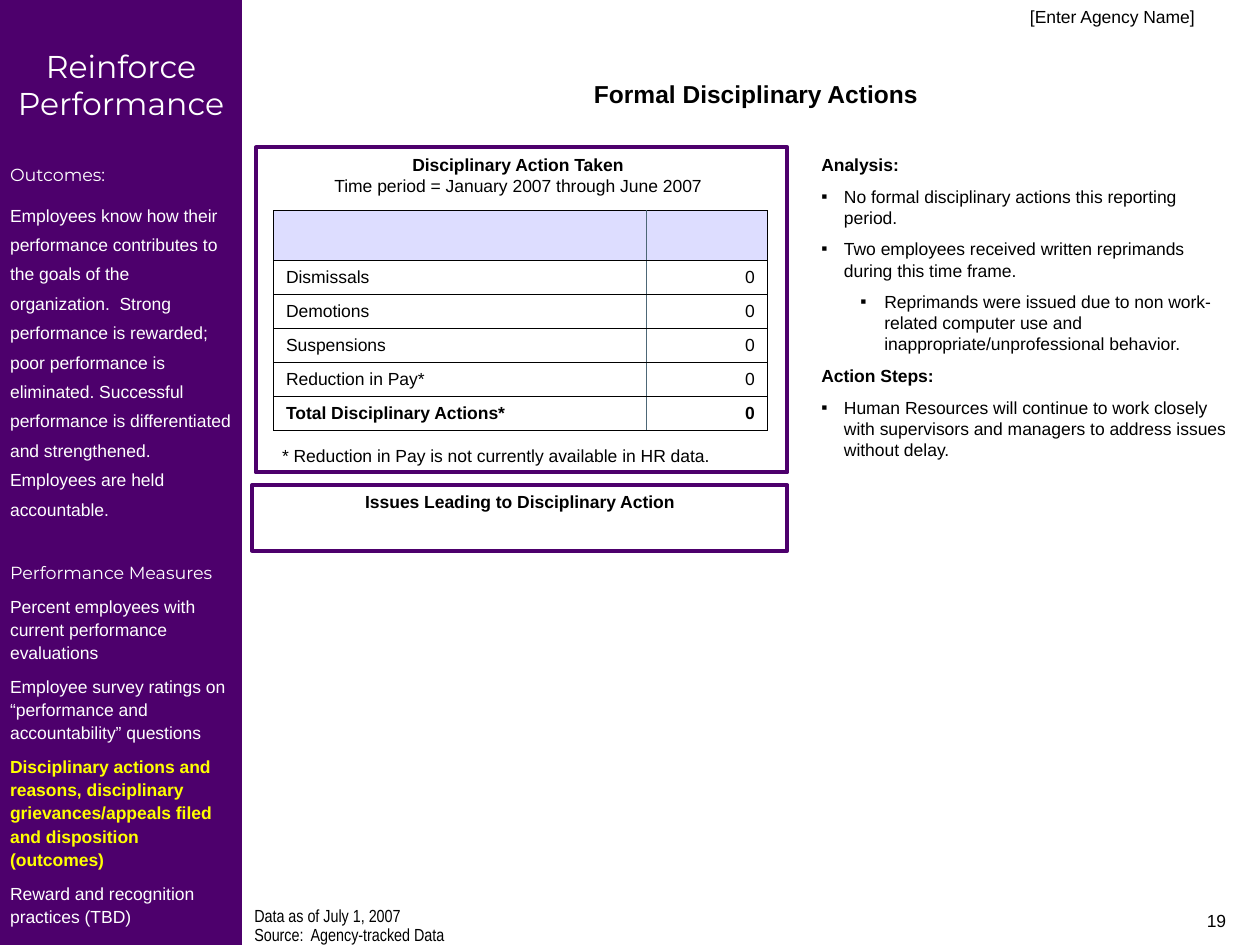
from dataclasses import dataclass
from lxml.etree import SubElement as Sub
from pptx import Presentation
from pptx.dml.color import RGBColor as RGB
from pptx.enum.shapes import MSO_SHAPE as Shape
from pptx.enum.text import MSO_ANCHOR as Anchor, PP_ALIGN as Align
from pptx.oxml.ns import qn
from pptx.util import Inches, Pt


@dataclass(frozen=True)
class Theme:
    ink: str = "000000"
    paper: str = "FFFFFF"
    plum: str = "4D006C"
    lilac: str = "DDDDFF"
    slate: str = "4D6776"
    gold: str = "FFFF00"
    sans: str = "Arial"
    slim: str = "Arial Narrow"
    head: str = "Montserrat"
    body: float = 10
    title: float = 14
    banner: float = 18
    gap: float = 6.2
    frame: float = 2.25
    rule: float = 0.45


T = Theme()
WIDE, HIGH = Inches(10), Inches(7.5)
COL, ROW = WIDE / 100, HIGH / 75  # slide grid of 100 columns by 75 rows


def place(x, y, w, h):
    return round(x * COL), round(y * ROW), round(w * COL), round(h * ROW)


def write(par, text, size=T.body, face=T.sans, color=T.ink, bold=False,
          align=Align.LEFT, gap=0, lead=None):
    par.text = text
    par.alignment = align
    par.space_before = Pt(gap)
    if lead:
        par.line_spacing = lead
    font = par.font
    font.size, font.name, font.bold = Pt(size), face, bold
    font.color.rgb = RGB.from_string(color)


def fill_text(frame, items, pad=(0.1, 0.05), top=None):
    """Write items, each a text with its format, as paragraphs."""
    frame.word_wrap = True
    frame.vertical_anchor = Anchor.TOP
    frame.margin_left = frame.margin_right = Inches(pad[0])
    frame.margin_bottom = Inches(pad[1])
    frame.margin_top = Inches(pad[1] if top is None else top)
    for i, (text, style) in enumerate(items):
        par = frame.add_paragraph() if i else frame.paragraphs[0]
        style = dict(style)
        level = style.pop("level", None)
        if level is not None:
            bullet(par, level)
        write(par, text, **style)


def bullet(par, level):
    par.level = level
    left, hang = ((0.18, 0.18), (0.5, 0.19))[level]
    props = par._p.get_or_add_pPr()
    props.set("marL", str(Inches(left)))
    props.set("indent", str(-Inches(hang)))
    Sub(props, qn("a:buFont"), typeface=T.sans)
    Sub(props, qn("a:buChar"), char="▪")


def add_text(shapes, area, items):
    box = shapes.add_textbox(*place(*area))
    fill_text(box.text_frame, items)


def add_rect(shapes, area, fill=None, line=None):
    rect = shapes.add_shape(Shape.RECTANGLE, *place(*area))
    rect.shadow.inherit = False
    if fill:
        rect.fill.solid()
        rect.fill.fore_color.rgb = RGB.from_string(fill)
    else:
        rect.fill.background()
    if line:
        rect.line.color.rgb = RGB.from_string(line)
        rect.line.width = Pt(T.frame)
    else:
        rect.line.fill.background()
    return rect


def style_cell(cell, fill, left, right):
    props = cell._tc.get_or_add_tcPr()
    for side, color in zip("LRTB", (left, right, T.ink, T.ink)):
        line = Sub(props, qn("a:ln" + side), w=str(Pt(T.rule)))
        paint = Sub(line, qn("a:solidFill"))
        Sub(paint, qn("a:srgbClr"), val=color)
    cell.fill.solid()
    cell.fill.fore_color.rgb = RGB.from_string(fill)
    cell.vertical_anchor = Anchor.MIDDLE


def add_grid(shapes, rows):
    area = place(21.7, 16.7, 39.2, 17.5)
    table = shapes.add_table(len(rows), 2, *area).table
    for col, width in zip(table.columns, (29.6, 9.6)):
        col.width = round(width * COL)
    for r, pair in enumerate(rows):
        table.rows[r].height = round((2.7 if r else 4) * ROW)
        for c, text in enumerate(pair):
            cell = table.cell(r, c)
            edges = (T.slate, T.ink) if c else (T.ink, T.slate)
            style_cell(cell, T.paper if r else T.lilac, *edges)
            write(cell.text_frame.paragraphs[0], text,
                  bold=r == len(rows) - 1,
                  align=Align.RIGHT if c else Align.LEFT)


def add_side(shapes):
    bar = add_rect(shapes, (0, 0, 19.2, 75.8), fill=T.plum)
    head = dict(face=T.head, color=T.paper)
    plain = dict(color=T.paper, gap=T.gap, lead=1.1)
    fill_text(bar.text_frame, [
        ("Reinforce Performance",
         dict(head, size=T.banner, align=Align.CENTER)),
        ("Outcomes:", dict(head, gap=24)),
        ("Employees know how their performance contributes to the goals of "
         "the organization.  Strong performance is rewarded; poor "
         "performance is eliminated. Successful performance is "
         "differentiated and strengthened. Employees are held accountable.",
         dict(plain, lead=1.4)),
        ("Performance Measures", dict(head, gap=24)),
        ("Percent employees with current performance evaluations", plain),
        ("Employee survey ratings on “performance and accountability” "
         "questions", plain),
        ("Disciplinary actions and reasons, disciplinary grievances/appeals "
         "filed and disposition (outcomes)",
         dict(plain, color=T.gold, bold=True)),
        ("Reward and recognition practices (TBD)", plain),
    ], pad=(0.08, 0.04), top=0.37)


def main():
    deck = Presentation()
    deck.slide_width, deck.slide_height = WIDE, HIGH
    slide = deck.slides.add_slide(deck.slide_layouts[5])
    shapes = slide.shapes
    mid = dict(align=Align.CENTER)
    bold = dict(bold=True)
    right = dict(align=Align.RIGHT)

    # Title
    title = shapes.title
    title.left, title.top, title.width, title.height = place(20, 5.8, 80, 3.4)
    fill_text(title.text_frame, [
        ("Formal Disciplinary Actions", dict(mid, size=T.title, bold=True))])

    # Issues panel
    issues = add_rect(shapes, (20, 38.5, 42.5, 5.2), line=T.plum)
    fill_text(issues.text_frame, [
        ("Issues Leading to Disciplinary Action", mid | bold)])

    # Analysis and steps
    point = dict(level=0, gap=T.gap)
    add_text(shapes, (64.2, 11.7, 34.4, 35.5), [
        ("Analysis:", bold),
        ("No formal disciplinary actions this reporting period.", point),
        ("Two employees received written reprimands during this time frame.",
         point),
        ("Reprimands were issued due to non work-related computer use and "
         "inappropriate/unprofessional behavior.", dict(point, level=1)),
        ("Action Steps:", dict(bold, gap=T.gap)),
        ("Human Resources will continue to work closely with supervisors "
         "and managers to address issues without delay.", point),
    ])

    # Source note
    note = dict(face=T.slim, lead=0.7)
    add_text(shapes, (19.2, 71.8, 48.3, 3.7), [
        ("Data as of July 1, 2007", note),
        ("Source:  Agency-tracked Data", dict(note, gap=2.5))])

    # Actions panel with its table
    panel = shapes.add_group_shape().shapes
    add_rect(panel, (20.3, 11.7, 42.2, 25.8), line=T.plum)
    add_text(panel, (20, 11.7, 42.2, 4.4), [
        ("Disciplinary Action Taken", mid | bold),
        ("Time period = January 2007 through June 2007", mid)])
    add_text(shapes, (21.4, 34.8, 43.3, 2.7), [
        ("* Reduction in Pay is not currently available in HR data.", {})])
    names = ("Dismissals", "Demotions", "Suspensions", "Reduction in Pay*",
             "Total Disciplinary Actions*")
    add_grid(shapes, [("", "")] + [(name, "0") for name in names])

    # Sidebar, agency and page number
    add_side(shapes)
    add_text(shapes, (45.8, 0, 50, 2.5), [("[Enter Agency Name]", right)])
    add_text(shapes, (75, 71.7, 23.3, 3.3), [("19", right)])
    deck.save("out.pptx")


if __name__ == "__main__":
    main()
